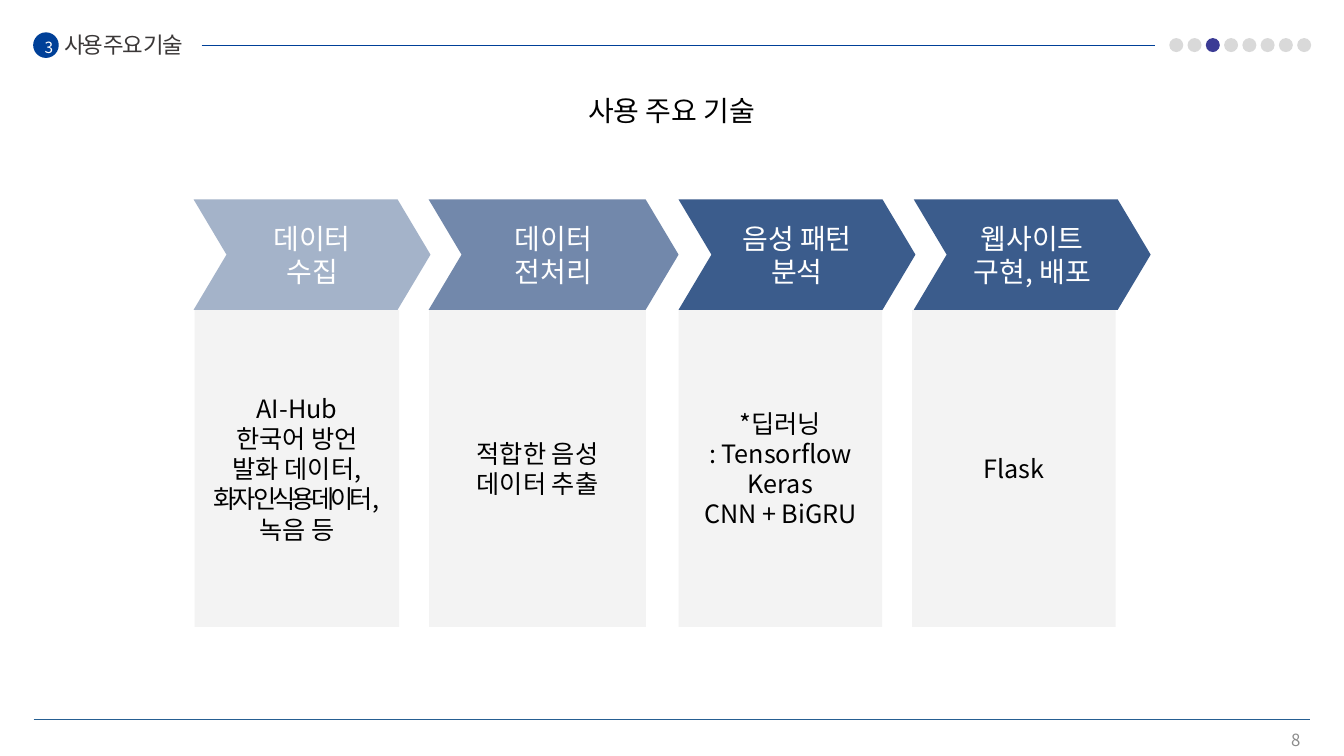
from lxml.etree import SubElement
from pptx import Presentation
from pptx.dml.color import RGBColor
from pptx.enum.shapes import MSO_CONNECTOR, MSO_SHAPE
from pptx.enum.text import MSO_ANCHOR, PP_ALIGN
from pptx.oxml.ns import qn
from pptx.util import Pt

COLORS = {
    "black": "000000", "white": "FFFFFF", "navy": "004098", "footer": "265F92",
    "heading": "3B3838", "number": "8C8C8C", "panel": "BFBFBF",
    "dot": "D9D9D9", "current": "3B3B95",
    "light": "A4B3C9", "medium": "7288AB", "dark": "3B5C8C",
}


class SlideBuilder:
    """Draws styled elements on one slide, with lengths in points."""

    font_name = "Noto Sans CJK KR"

    def __init__(self, slide):
        self.slide = slide

    def color(self, name):
        return RGBColor.from_string(COLORS[name])

    def set_text(self, shape, lines, size, color, align=PP_ALIGN.CENTER,
                 anchor=MSO_ANCHOR.MIDDLE, wrap=True, spacing=None):
        frame = shape.text_frame
        frame.word_wrap = wrap
        frame.vertical_anchor = anchor
        spacing = spacing or {}
        for index, line in enumerate(lines):
            paragraph = frame.add_paragraph() if index else frame.paragraphs[0]
            paragraph.text = line
            paragraph.alignment = align
            font = paragraph.font
            font.size = Pt(size)
            font.color.rgb = self.color(color)
            font.name = self.font_name
            properties = paragraph._p.pPr.find(qn("a:defRPr"))
            SubElement(properties, qn("a:ea")).set("typeface", self.font_name)
            if line in spacing:
                properties.set("spc", str(round(spacing[line] * 100)))

    def shape(self, kind, left, top, width, height, fill, alpha=None):
        shape = self.slide.shapes.add_shape(
            kind, Pt(left), Pt(top), Pt(width), Pt(height))
        shape.shadow.inherit = False
        shape.line.fill.background()
        shape.fill.solid()
        shape.fill.fore_color.rgb = self.color(fill)
        if alpha is not None:
            color = shape._element.spPr.find(qn("a:solidFill"))[0]
            SubElement(color, qn("a:alpha")).set("val", str(alpha * 1000))
        return shape

    def text(self, left, top, width, height, line, size, color, **style):
        box = self.slide.shapes.add_textbox(
            Pt(left), Pt(top), Pt(width), Pt(height))
        self.set_text(box, [line], size, color, **style)

    def rule(self, left, right, y, color):
        line = self.slide.shapes.add_connector(
            MSO_CONNECTOR.STRAIGHT, Pt(left), Pt(y), Pt(right), Pt(y))
        line.line.color.rgb = self.color(color)
        line.line.width = Pt(0.5)
        SubElement(line._element.spPr, qn("a:effectLst"))

    def panel(self, left, width, lines, spacing):
        panel = self.shape(MSO_SHAPE.RECTANGLE, left, 221.5, width, 226.3, "panel", 18)
        self.set_text(panel, lines, 18, "black", spacing=spacing)

    def chevron(self, left, width, lines, fill):
        chevron = self.shape(MSO_SHAPE.CHEVRON, left, 142.5, width, 78.8, fill)
        chevron.adjustments[0] = 0.298
        self.set_text(chevron, lines, 20, "white")

    def badge(self, left, top, size, number):
        badge = self.shape(MSO_SHAPE.OVAL, left, top, size, size, "navy")
        badge.line.color.rgb = self.color("navy")
        badge.line.width = Pt(1)
        badge.text_frame.margin_bottom = 0
        self.set_text(badge, [number], 11, "white")

    def progress(self, count, current):
        for index in range(count):
            fill = "current" if index == current else "dot"
            self.shape(MSO_SHAPE.OVAL, 835.2 + 13.05 * index, 27.2, 10, 10, fill)


def main():
    presentation = Presentation()
    presentation.slide_width = Pt(960)
    presentation.slide_height = Pt(540)
    slide = presentation.slides.add_slide(presentation.slide_layouts[6])
    builder = SlideBuilder(slide)

    speaker_data = "화자 인식용 데이터,"
    panels = [
        (139, 146.2, ["AI-Hub", "한국어 방언", "발화 데이터,", speaker_data, "녹음 등"]),
        (306.5, 154.8, ["적합한 음성", "데이터 추출"]),
        (484.7, 145.5, ["*딥러닝", ": Tensorflow", "Keras", "CNN + BiGRU"]),
        (651.5, 145.5, ["Flask"]),
    ]
    chevrons = [
        (138.3, 169.2, ["데이터", "수집"], "light"),
        (306.2, 178.5, ["데이터", "전처리"], "medium"),
        (484.7, 169.2, ["음성 패턴 분석"], "dark"),
        (652.7, 169.2, ["웹사이트", "구현, 배포"], "dark"),
    ]
    for left, width, lines in panels:
        builder.panel(left, width, lines, {speaker_data: -3})
    for left, width, lines, fill in chevrons:
        builder.chevron(left, width, lines, fill)

    title = "사용 주요 기술"
    builder.rule(144, 825, 32.3, "navy")
    builder.text(38.7, 18.7, 105, 26.6, title, 16, "heading", align=PP_ALIGN.LEFT,
                 anchor=MSO_ANCHOR.TOP, wrap=False, spacing={title: -1.5})
    builder.badge(24.2, 23.6, 17.3, "3")
    builder.text(408.2, 63.4, 143.3, 31.5, title, 20, "black",
                 anchor=MSO_ANCHOR.TOP, wrap=False)
    builder.rule(24, 936, 514, "footer")
    builder.text(720, 514, 216, 28.8, "8", 12, "number", align=PP_ALIGN.RIGHT)
    builder.progress(8, 2)
    presentation.save("out.pptx")


if __name__ == "__main__":
    main()
